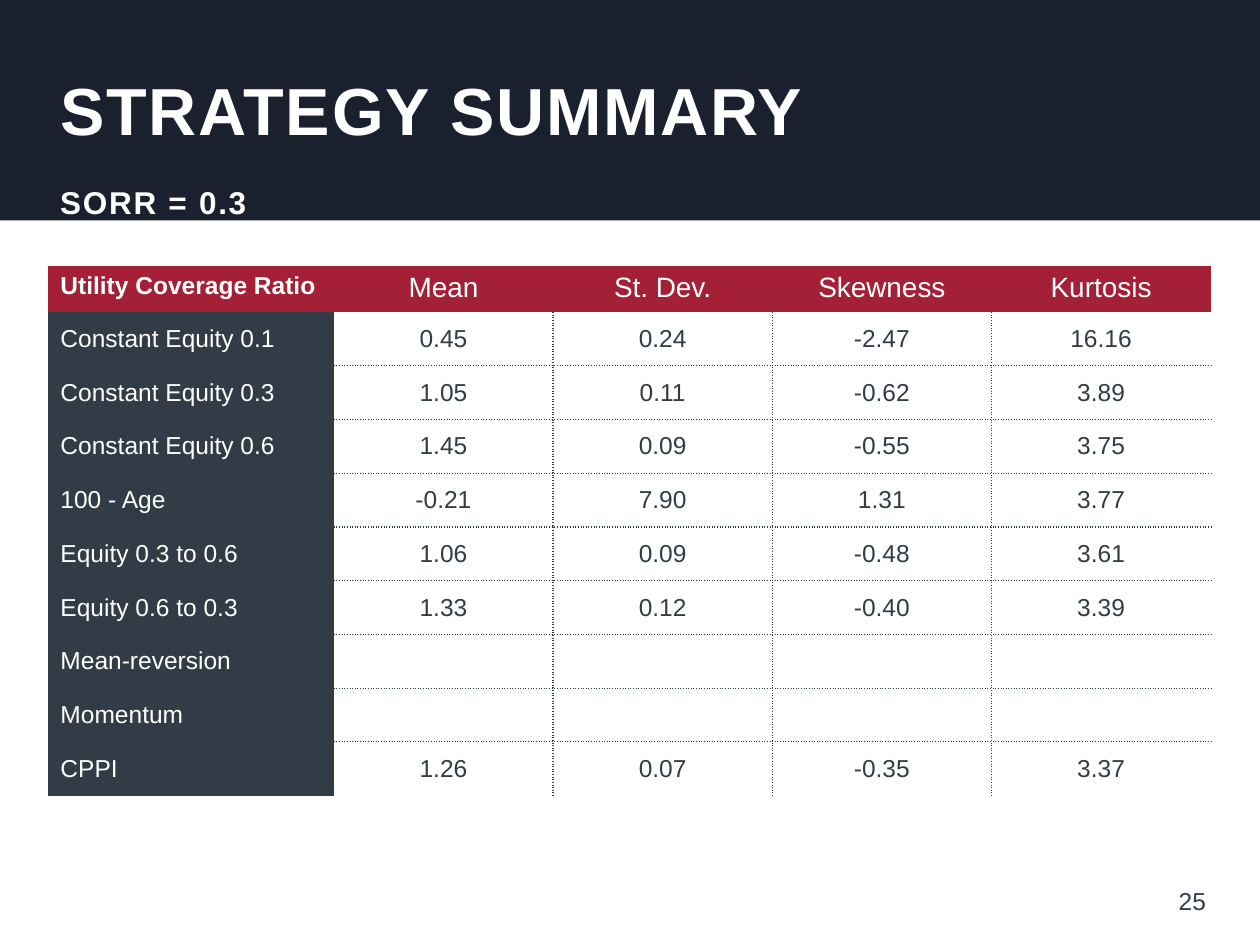
import lxml.etree
import pptx
import pptx.dml.color
import pptx.enum.shapes
import pptx.enum.text
import pptx.oxml.ns
import pptx.util

Inches = pptx.util.Inches
RGBColor = pptx.dml.color.RGBColor
ALIGN = pptx.enum.text.PP_ALIGN
MIDDLE = pptx.enum.text.MSO_ANCHOR.MIDDLE
TOP = pptx.enum.text.MSO_ANCHOR.TOP

NAVY = RGBColor(0x1B, 0x20, 0x2F)
RED = RGBColor(0xA4, 0x20, 0x36)
SLATE = RGBColor(0x32, 0x3C, 0x47)
GREY = RGBColor(0x33, 0x3E, 0x48)
WHITE = RGBColor(0xFF, 0xFF, 0xFF)

NO_STYLE = "{2D5ABB26-0587-4C30-8999-92F81FD0307C}"
LEFT, WIDTH = Inches(0.38), Inches(9.23)
ROWS = [
    ("Utility Coverage Ratio", "Mean", "St. Dev.", "Skewness", "Kurtosis"),
    ("Constant Equity 0.1", "0.45", "0.24", "-2.47", "16.16"),
    ("Constant Equity 0.3", "1.05", "0.11", "-0.62", "3.89"),
    ("Constant Equity 0.6", "1.45", "0.09", "-0.55", "3.75"),
    ("100 - Age", "-0.21", "7.90", "1.31", "3.77"),
    ("Equity 0.3 to 0.6", "1.06", "0.09", "-0.48", "3.61"),
    ("Equity 0.6 to 0.3", "1.33", "0.12", "-0.40", "3.39"),
    ("Mean-reversion", "", "", "", ""),
    ("Momentum", "", "", "", ""),
    ("CPPI", "1.26", "0.07", "-0.35", "3.37"),
]


def write_text(text_frame, text, size=14, color=WHITE, bold=False,
               align=ALIGN.LEFT, anchor=MIDDLE, spacing=0):
    text_frame.word_wrap = True
    text_frame.vertical_anchor = anchor
    paragraph = text_frame.paragraphs[0]
    paragraph.alignment = align
    run = paragraph.add_run()
    run.text = text
    run.font.name = "Arial"
    run.font.size = pptx.util.Pt(size)
    run.font.bold = bold
    run.font.color.rgb = color
    if spacing:
        run.font._element.set("spc", str(spacing * 100))


def add_dotted_border(cell, side):
    properties = cell._tc.get_or_add_tcPr()
    line = lxml.etree.SubElement(
        properties, pptx.oxml.ns.qn("a:ln" + side), w=str(pptx.util.Pt(0.75)))
    fill = lxml.etree.SubElement(line, pptx.oxml.ns.qn("a:solidFill"))
    lxml.etree.SubElement(fill, pptx.oxml.ns.qn("a:srgbClr"), val=str(SLATE))
    lxml.etree.SubElement(line, pptx.oxml.ns.qn("a:prstDash"), val="sysDot")


presentation = pptx.Presentation()
presentation.slide_width = Inches(10)
presentation.slide_height = Inches(7.5)
slide = presentation.slides.add_slide(presentation.slide_layouts[5])

band = slide.shapes.add_shape(
    pptx.enum.shapes.MSO_SHAPE.RECTANGLE, 0, 0, Inches(10), Inches(1.75))
band.shadow.inherit = False
band.fill.solid()
band.fill.fore_color.rgb = NAVY
band.line.fill.background()

title = slide.shapes.title
title._element.addprevious(band._element)
title.left, title.top, title.width, title.height = LEFT, 0, WIDTH, Inches(1.73)
title.text_frame.auto_size = pptx.enum.text.MSO_AUTO_SIZE.NONE
write_text(title.text_frame, "STRATEGY SUMMARY", size=38, bold=True, spacing=1)

page_number = slide.shapes.add_textbox(
    Inches(7.34), Inches(6.95), Inches(2.33), Inches(0.4))
write_text(page_number.text_frame, "25", color=GREY, align=ALIGN.RIGHT)

header_height, body_height = Inches(0.35), Inches(3.84)
table_frame = slide.shapes.add_table(
    len(ROWS), len(ROWS[0]), LEFT, Inches(2.11), WIDTH, header_height + body_height)
table = table_frame.table
table.first_row = False
table.horz_banding = False
table._tbl.tblPr.find(pptx.oxml.ns.qn("a:tableStyleId")).text = NO_STYLE

for column_index, column in enumerate(table.columns):
    column.width = Inches(1.74 if column_index else 2.27)
for row_index, row in enumerate(table.rows):
    row.height = body_height // (len(ROWS) - 1) if row_index else header_height

last_row, last_column = len(ROWS) - 1, len(ROWS[0]) - 1
for row_index, values in enumerate(ROWS):
    for column_index, value in enumerate(values):
        cell = table.cell(row_index, column_index)
        is_header, is_label = row_index == 0, column_index == 0
        if not is_header and not is_label:
            borders = {
                "L": column_index > 1,
                "R": column_index < last_column,
                "T": row_index > 1,
                "B": row_index < last_row,
            }
            for side, shown in borders.items():
                if shown:
                    add_dotted_border(cell, side)
            cell.fill.background()
        else:
            cell.fill.solid()
            cell.fill.fore_color.rgb = RED if is_header else SLATE
        if value:
            write_text(
                cell.text_frame, value,
                size=16 if is_header and not is_label else 14,
                color=WHITE if is_header or is_label else SLATE,
                bold=is_header and is_label,
                align=ALIGN.LEFT if is_label else ALIGN.CENTER)
            cell.vertical_anchor = TOP if is_header else MIDDLE

subtitle = slide.shapes.add_textbox(LEFT, Inches(1.46), WIDTH, Inches(0.29))
write_text(subtitle.text_frame, "SORR = 0.3", size=18, bold=True, spacing=1)

presentation.save("out.pptx")
